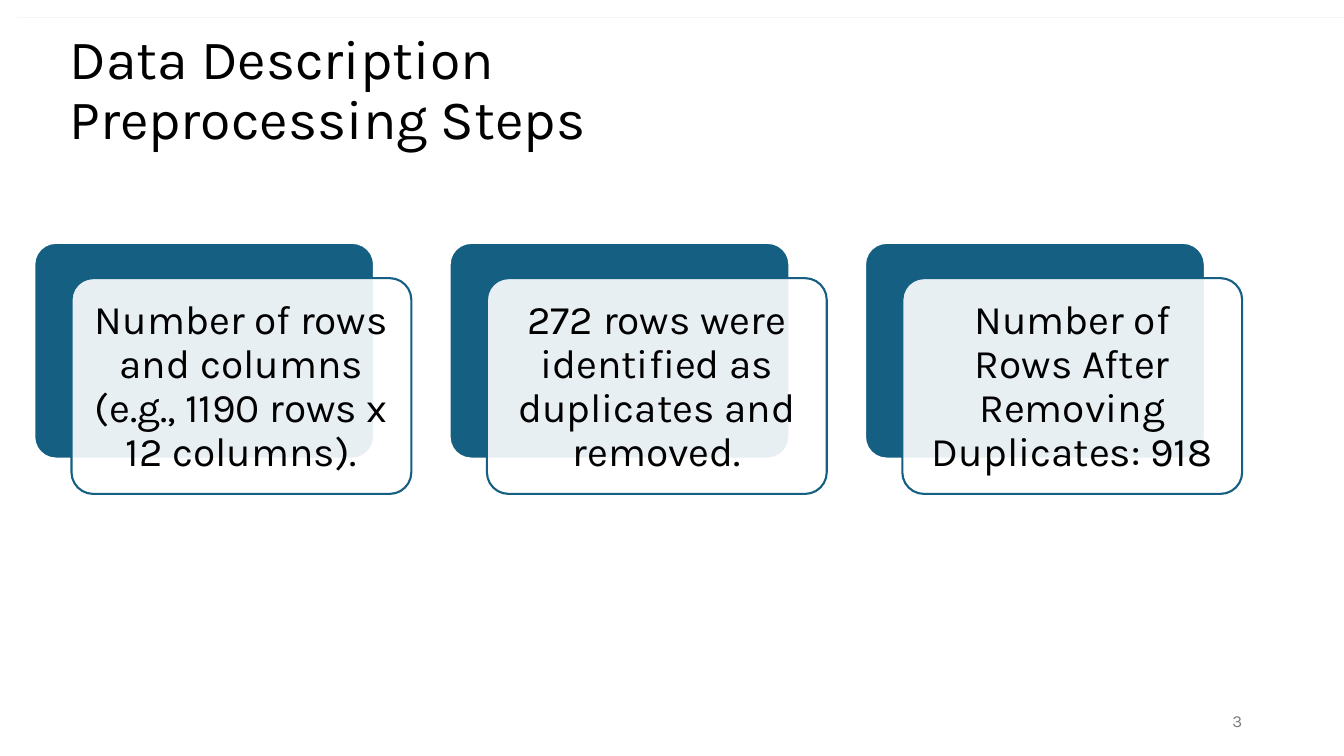
from pptx import Presentation
from pptx.dml.color import RGBColor
from pptx.enum.shapes import MSO_CONNECTOR, MSO_SHAPE
from pptx.enum.text import MSO_ANCHOR, PP_ALIGN
from pptx.oxml.ns import qn
from pptx.util import Emu, Pt
from lxml import etree

SCALE = 9144  # EMU per px, 100 px to the inch
BLUE = RGBColor(0x15, 0x60, 0x82)
WHITE = RGBColor(0xFF, 0xFF, 0xFF)
BLACK = RGBColor(0, 0, 0)
GRAY = RGBColor(0x79, 0x79, 0x79)
PALE = RGBColor(0xF5, 0xF5, 0xF5)
LEFT, CENTER, RIGHT = PP_ALIGN.LEFT, PP_ALIGN.CENTER, PP_ALIGN.RIGHT
MIDDLE = MSO_ANCHOR.MIDDLE
ROUND = MSO_SHAPE.ROUNDED_RECTANGLE
STRAIGHT = MSO_CONNECTOR.STRAIGHT

STEPS = [
    "Number of rows and columns (e.g., 1190 rows x 12 columns).",
    "272 rows were identified as duplicates and removed.",
    "Number of Rows After Removing Duplicates: 918",
]


def px(*values):
    return [Emu(value * SCALE) for value in values]


class Canvas:
    font = "Karla"

    def __init__(self, slide):
        self.shapes = slide.shapes

    def text(self, box, lines, size, color=BLACK, align=LEFT, space=1.0, pad=(10, 5)):
        frame = self.shapes.add_textbox(*px(*box)).text_frame
        frame.word_wrap = True
        frame.vertical_anchor = MIDDLE
        side, edge = px(*pad)
        frame.margin_left = frame.margin_right = side
        frame.margin_top = frame.margin_bottom = edge
        para = frame.paragraphs[0]
        para.alignment = align
        para.line_spacing = space
        for index, line in enumerate(lines):
            if index:
                para.add_line_break()
            run = para.add_run()
            run.text = line
            run.font.name = self.font
            run.font.size = Pt(size)
            run.font.color.rgb = color

    def card(self, box, fill, line, alpha=100):
        shape = self.shapes.add_shape(ROUND, *px(*box))
        shape.shadow.inherit = False
        shape.adjustments[0] = 0.1
        shape.fill.solid()
        shape.fill.fore_color.rgb = fill
        shape.line.color.rgb = line
        shape.line.width = Pt(1.5)
        if alpha < 100:
            tint = shape.fill._xPr.find(qn("a:solidFill"))[0]
            etree.SubElement(tint, qn("a:alpha")).set("val", str(alpha * 1000))

    def rule(self, start, end, color):
        line = self.shapes.add_connector(STRAIGHT, *px(*start, *end))
        line.line.color.rgb = color
        line.line.width = Pt(0.75)
        etree.SubElement(line._element.spPr, qn("a:effectLst"))


def main():
    deck = Presentation()
    deck.slide_width, deck.slide_height = px(1333, 750)
    page = Canvas(deck.slides.add_slide(deck.slide_layouts[6]))

    # Title
    page.text((59, 40, 1182, 101), ["Data Description", "Preprocessing Steps"],
              39.6, space=0.9)

    # Step cards: a blue back and a clear front, shifted down and right
    for index, step in enumerate(STEPS):
        left = 34 + index * 412
        page.card((left, 241, 337, 214), BLUE, WHITE)
        page.card((left + 37, 276, 337, 214), WHITE, BLUE, alpha=90)
        page.text((left + 43, 283, 325, 202), [step], 29,
                  align=CENTER, space=0.9, pad=(12, 12))

    # Page number and top rule
    page.text((942, 695, 300, 40), ["3"], 12, color=GRAY, align=RIGHT)
    page.rule((17, 17), (1333, 17), PALE)

    deck.save("out.pptx")


if __name__ == "__main__":
    main()
